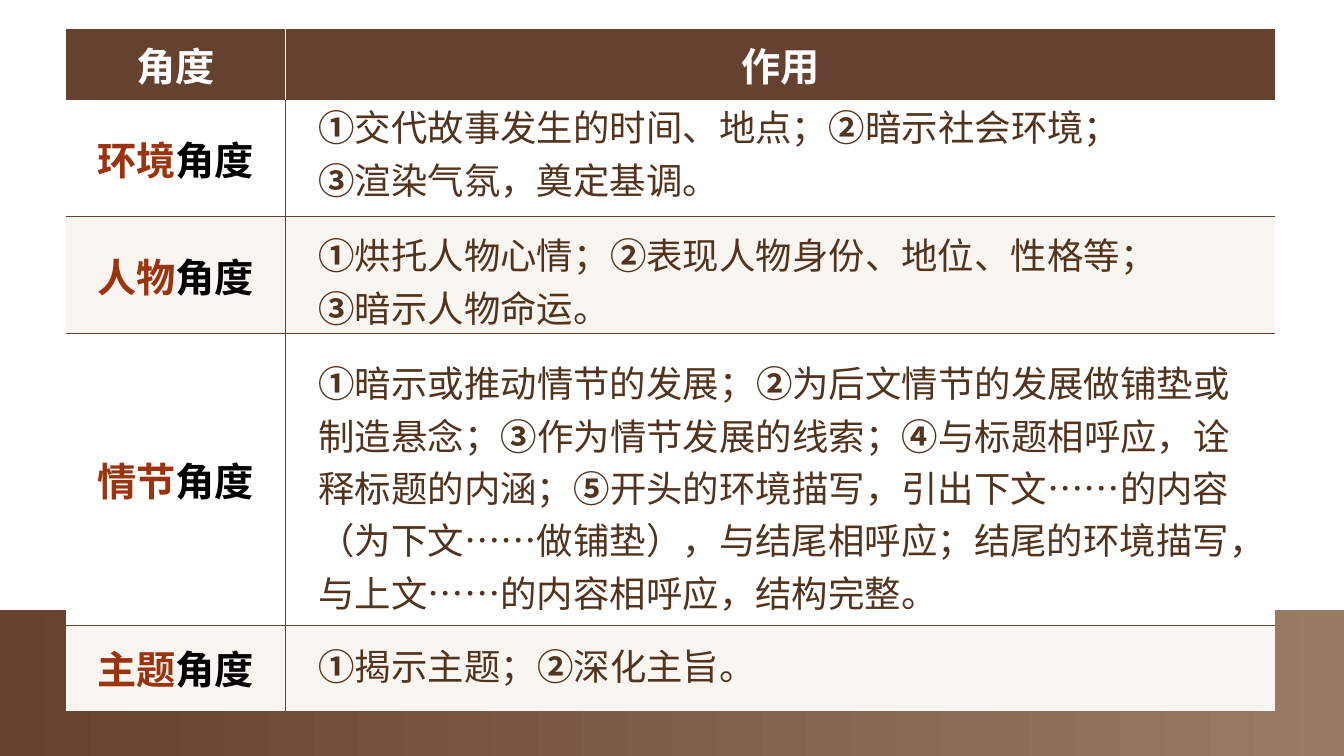
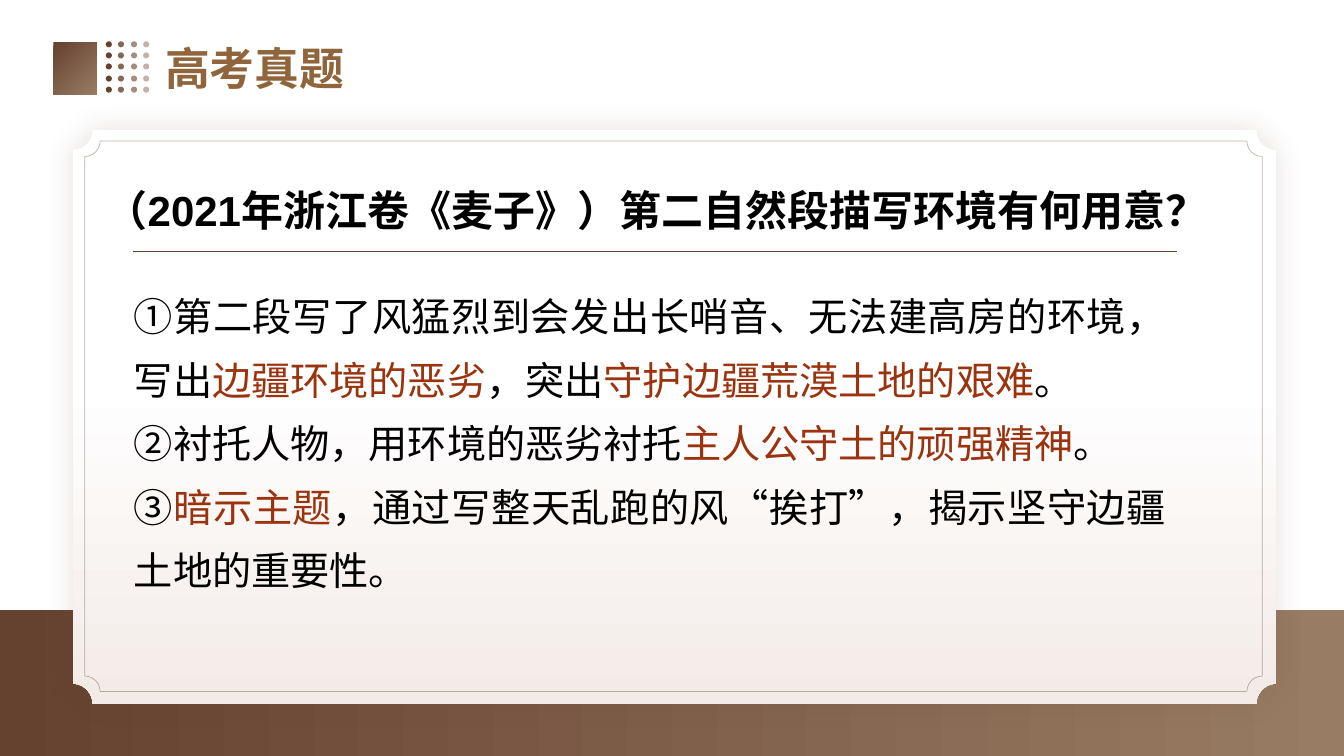
from dataclasses import dataclass
from itertools import groupby

from lxml import etree
from pptx import Presentation
from pptx.dml.color import RGBColor
from pptx.enum.dml import MSO_FILL
from pptx.enum.lang import MSO_LANGUAGE_ID
from pptx.enum.shapes import MSO_CONNECTOR, MSO_SHAPE
from pptx.enum.text import MSO_ANCHOR, MSO_AUTO_SIZE, PP_ALIGN
from pptx.oxml.ns import qn
from pptx.util import Pt

PX = 9144  # EMU per px, 100 px to the inch
RECT, OVAL, PLAQUE = MSO_SHAPE.RECTANGLE, MSO_SHAPE.OVAL, MSO_SHAPE.PLAQUE
STRAIGHT = MSO_CONNECTOR.STRAIGHT
CENTER, LEFT, JUSTIFY = PP_ALIGN.CENTER, PP_ALIGN.LEFT, PP_ALIGN.JUSTIFY
MIDDLE, FIT = MSO_ANCHOR.MIDDLE, MSO_AUTO_SIZE.SHAPE_TO_FIT_TEXT
SOLID, CHINESE = MSO_FILL.SOLID, MSO_LANGUAGE_ID.SIMPLIFIED_CHINESE
FONT, LATIN = "Noto Sans CJK SC", "Arial"
NO_STYLE = "{2D5ABB26-0587-4C30-8999-92F81FD0307C}"
RINGED = "①②③④⑤"
COLORS = {
    "brown": "654130", "tan": "997C64", "white": "FFFFFF", "cream": "F9F5F1",
    "blush": "F3EBE7", "accent": "9A330E", "black": "000000",
    "coffee": "52331D", "title": "90653B",
}


@dataclass(frozen=True)
class Box:
    x: int
    y: int
    w: int
    h: int

    def emu(self) -> tuple[int, int, int, int]:
        return self.x * PX, self.y * PX, self.w * PX, self.h * PX


@dataclass(frozen=True)
class Run:
    text: str
    color: str = "black"
    bold: bool = False


@dataclass(frozen=True)
class Gradient:
    first: str
    last: str
    angle: int = 0
    start: int = 0


@dataclass(frozen=True)
class Shadow:
    alpha: int
    blur: int
    dist: int = 0
    angle: int = 0


@dataclass(frozen=True)
class Angle:
    label: str
    height: int
    effects: str
    box: Box


ANGLES = [
    Angle("|环境|角度", 116, "①交代故事发生的时间、地点；②暗示社会环境；③渲染气氛，奠定基调。",
          Box(306, 91, 843, 111)),
    Angle("|人物|角度", 116, "①烘托人物心情；②表现人物身份、地位、性格等；③暗示人物命运。",
          Box(306, 218, 843, 111)),
    Angle("|情节|角度", 289,
          "①暗示或推动情节的发展；②为后文情节的发展做铺垫或制造悬念；"
          "③作为情节发展的线索；④与标题相呼应，诠释标题的内涵；"
          "⑤开头的环境描写，引出下文……的内容（为下文……做铺垫），与结尾相呼应；"
          "结尾的环境描写，与上文……的内容相呼应，结构完整。",
          Box(306, 345, 939, 268)),
    Angle("|主题|角度", 85, "①揭示主题；②深化主旨。", Box(306, 625, 502, 58)),
]
ANSWERS = [
    "①第二段写了风猛烈到会发出长哨音、无法建高房的环境，写出|边疆环境的恶劣|，"
    "突出|守护边疆荒漠土地的艰难|。",
    "②衬托人物，用环境的恶劣衬托|主人公守土的顽强精神|。",
    "③|暗示主题|，通过写整天乱跑的风“挨打”，揭示坚守边疆土地的重要性。",
]


def rgb(name: str) -> RGBColor:
    return RGBColor.from_string(COLORS[name])


# Text
def accented(text: str, bold: bool = False) -> list[Run]:
    """Every second part between bars takes the accent colour."""
    return [Run(part, "accent" if i % 2 else "black", bold)
            for i, part in enumerate(text.split("|")) if part]


def numbered(text: str) -> list[Run]:
    """Ringed numerals are bold, the words after them are not."""
    return [Run("".join(chars), "coffee", ringed)
            for ringed, chars in groupby(text, lambda ch: ch in RINGED)]


def write(p, runs: list[Run], size: int, align=LEFT, spacing: float = 1.0,
          font: str = FONT) -> None:
    p.alignment = align
    p.line_spacing = spacing
    for run in runs:
        r = p.add_run()
        r.text = run.text
        r.font.size = Pt(size)
        r.font.bold = run.bold
        r.font.name = font
        r.font.color.rgb = rgb(run.color)
        r.font.language_id = CHINESE
        latin = r.font._element.find(qn("a:latin"))
        latin.addnext(latin.makeelement(qn("a:ea"), {"typeface": FONT}))


def add_text(slide, box: Box, paragraphs: list[list[Run]], size: int,
             align=LEFT, spacing: float = 1.0, font: str = FONT) -> None:
    tf = slide.shapes.add_textbox(*box.emu()).text_frame
    tf.word_wrap = True
    tf.auto_size = FIT
    for i, runs in enumerate(paragraphs):
        p = tf.add_paragraph() if i else tf.paragraphs[0]
        write(p, runs, size, align, spacing, font)


# Shapes
def add_alpha(parent, percent: int) -> None:
    color = parent.find(".//" + qn("a:srgbClr"))
    etree.SubElement(color, qn("a:alpha"), val=str(percent * 1000))


def add_shape(slide, kind, box: Box, fill: str | Gradient | None = None,
              line: str | None = None, alpha: int = 100,
              adjust: float | None = None, shadow: Shadow | None = None) -> None:
    sp = slide.shapes.add_shape(kind, *box.emu())
    sp.shadow.inherit = False
    if adjust is not None:
        sp.adjustments[0] = adjust
    if isinstance(fill, Gradient):
        sp.fill.gradient()
        sp.fill.gradient_angle = -fill.angle % 360
        first, last = sp.fill.gradient_stops
        first.color.rgb, first.position = rgb(fill.first), fill.start / 100
        last.color.rgb, last.position = rgb(fill.last), 1.0
    elif fill:
        sp.fill.solid()
        sp.fill.fore_color.rgb = rgb(fill)
    else:
        sp.fill.background()
    if line:
        sp.line.color.rgb = rgb(line)
        sp.line.width = Pt(0.5)
    else:
        sp.line.fill.background()
    props = sp._element.spPr
    if alpha < 100:
        add_alpha(props, alpha)
    if shadow:
        outer = etree.SubElement(
            props.find(qn("a:effectLst")), qn("a:outerShdw"),
            blurRad=str(Pt(shadow.blur)), dist=str(Pt(shadow.dist)),
            dir=str(shadow.angle * 60000), algn="ctr", rotWithShape="0")
        etree.SubElement(outer, qn("a:srgbClr"), val=COLORS["brown"])
        add_alpha(outer, shadow.alpha)


def add_rule(slide, x1: int, x2: int, y: int) -> None:
    rule = slide.shapes.add_connector(STRAIGHT, x1 * PX, y * PX, x2 * PX, y * PX)
    rule.line.color.rgb = rgb("brown")
    rule.line.width = Pt(0.5)
    etree.SubElement(rule._element.spPr, qn("a:effectLst"))


# Table
def style_cell(cell, fill: str, borders: dict[str, tuple[str, float]]) -> None:
    tc_pr = cell._tc.get_or_add_tcPr()
    for side in "LRTB":
        if side in borders:
            color, width = borders[side]
            ln = etree.SubElement(tc_pr, qn(f"a:ln{side}"), w=str(Pt(width)))
            solid = etree.SubElement(ln, qn("a:solidFill"))
            etree.SubElement(solid, qn("a:srgbClr"), val=COLORS[color])
    cell.fill.solid()
    cell.fill.fore_color.rgb = rgb(fill)
    cell.vertical_anchor = MIDDLE
    cell.margin_left = cell.margin_right = 7 * PX
    cell.margin_top = cell.margin_bottom = 0


def add_angle_table(slide, box: Box) -> None:
    frame = slide.shapes.add_table(len(ANGLES) + 1, 2, *box.emu())
    table = frame.table
    table._tbl.tblPr.find(qn("a:tableStyleId")).text = NO_STYLE
    table.horz_banding = False
    for column, width in zip(table.columns, (218, 982)):
        column.width = width * PX
    heights = [70] + [angle.height for angle in ANGLES]
    for i, height in enumerate(heights):
        table.rows[i].height = height * PX
        fill = "cream" if i % 2 == 0 else "white"
        divider, rules = ("brown", 0.5), {}
        if i == 0:
            fill, divider = "brown", ("white", 1)
        if i > 1:
            rules["T"] = ("brown", 0.5)
        if 0 < i < len(ANGLES):
            rules["B"] = ("brown", 0.5)
        for j, side in enumerate("RL"):
            style_cell(table.cell(i, j), fill, {side: divider, **rules})
    for j, heading in enumerate(("角度", "作用")):
        p = table.cell(0, j).text_frame.paragraphs[0]
        write(p, [Run(heading, "white", True)], 28, CENTER)
    for i, angle in enumerate(ANGLES, 1):
        p = table.cell(i, 0).text_frame.paragraphs[0]
        write(p, accented(angle.label, True), 28, CENTER)


# Parts shared by the slides
def new_slide(prs):
    slide = prs.slides.add_slide(prs.slide_layouts[6])
    add_shape(slide, RECT, Box(0, 605, 1333, 145), Gradient("brown", "tan"))
    return slide


def add_title(slide, text: str) -> None:
    add_text(slide, Box(154, 36, 663, 64), [[Run(text, "title", True)]], 32)
    add_shape(slide, RECT, Box(53, 42, 43, 52), Gradient("brown", "tan", 45))
    for col in range(4):
        for row in range(5):
            dot = Box(105 + round(col * 37 / 3), 41 + round(row * 45 / 4), 6, 6)
            add_shape(slide, OVAL, dot, "brown", alpha=100 - 20 * col)


# Slides
def build_angles(prs) -> None:
    slide = new_slide(prs)
    add_angle_table(slide, Box(65, 29, 1200, 675))
    for angle in ANGLES:
        add_text(slide, angle.box, [numbered(angle.effects)], 26, spacing=1.2)


def build_question(prs) -> None:
    slide = new_slide(prs)
    add_shape(slide, PLAQUE, Box(72, 129, 1194, 569),
              Gradient("white", "blush", 90, 44), adjust=0.035,
              shadow=Shadow(15, 20))
    add_shape(slide, PLAQUE, Box(84, 140, 1168, 546), line="brown", alpha=40,
              adjust=0.028, shadow=Shadow(20, 46, 24, 270))
    add_text(slide, Box(123, 269, 1044, 322), [accented(a) for a in ANSWERS],
             28, JUSTIFY, 1.35)
    add_title(slide, "高考真题")
    question = Run("（2021年浙江卷《麦子》）第二自然段描写环境有何用意？", bold=True)
    add_text(slide, Box(95, 163, 1157, 69), [[question]], 30, JUSTIFY, 1.3, LATIN)
    add_rule(slide, 132, 1167, 249)


def main() -> None:
    prs = Presentation()
    prs.slide_width, prs.slide_height = 1333 * PX, 750 * PX
    build_angles(prs)
    build_question(prs)
    prs.save("out.pptx")


if __name__ == "__main__":
    main()
